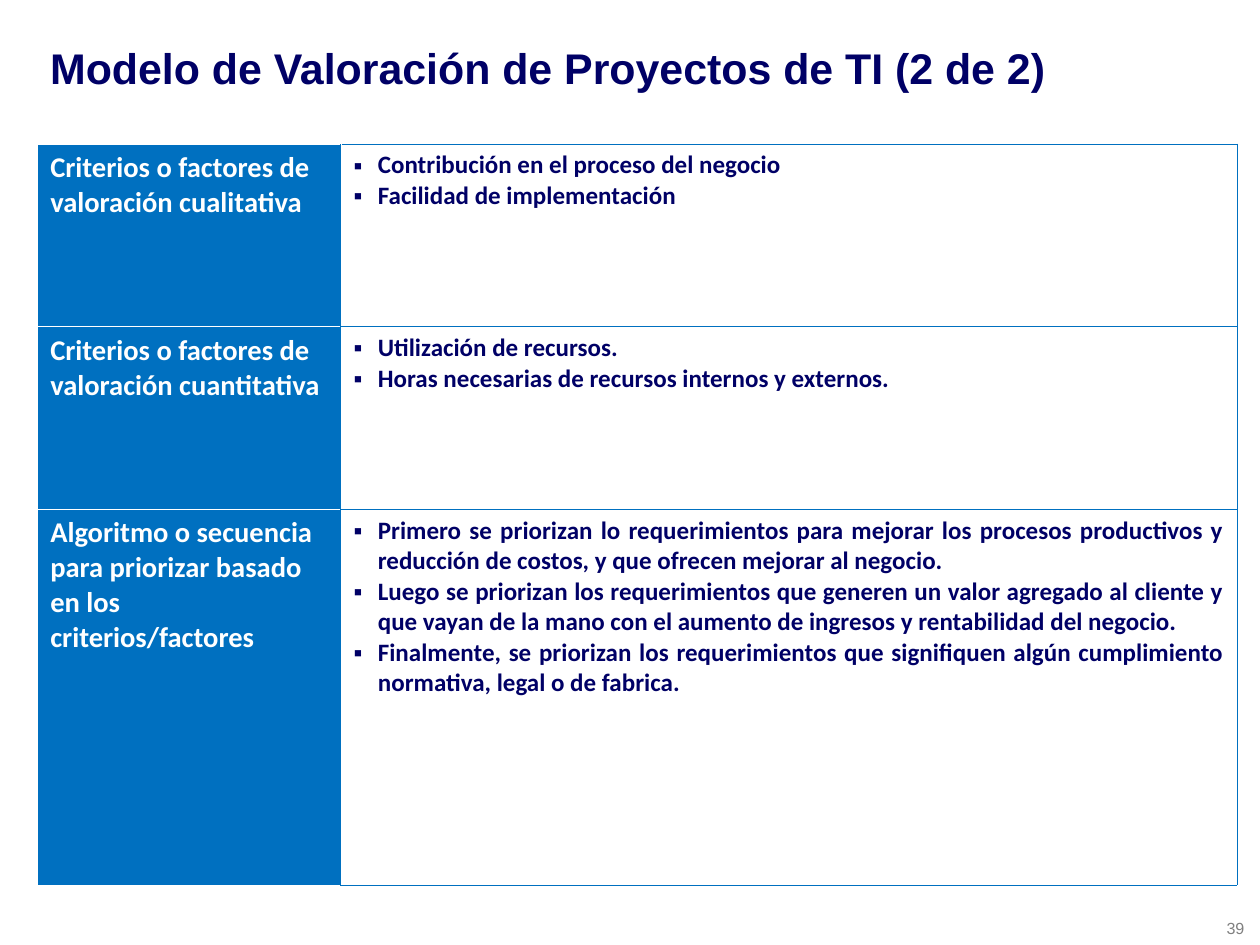
from lxml.etree import SubElement
from pptx import Presentation
from pptx.dml.color import RGBColor
from pptx.enum.text import MSO_ANCHOR as Anchor, PP_ALIGN as Align
from pptx.oxml import parse_xml
from pptx.oxml.ns import nsdecls, qn
from pptx.util import Cm, Pt

NAVY, BLUE, WHITE, GREY = "000066", "0070C0", "FFFFFF", "808080"

ROWS = [
    (3.61, "Criterios o factores de valoración cualitativa", Align.LEFT,
     ["Contribución en el proceso del negocio",
      "Facilidad de implementación"]),
    (3.61, "Criterios o factores de valoración cuantitativa", Align.LEFT,
     ["Utilización de recursos.",
      "Horas necesarias de recursos internos y externos."]),
    (7.42, "Algoritmo o secuencia para priorizar basado en los criterios/factores", Align.LEFT,
     ["Primero se priorizan lo requerimientos para mejorar los procesos productivos "
      "y reducción de costos, y que ofrecen mejorar al negocio.",
      "Luego se priorizan los requerimientos que generen un valor agregado al cliente "
      "y que vayan de la mano con el aumento de ingresos y rentabilidad del negocio.",
      "Finalmente, se priorizan los requerimientos que signifiquen algún cumplimiento "
      "normativa, legal o de fabrica."]),
]
ROWS[2] = ROWS[2][:2] + (Align.JUSTIFY,) + ROWS[2][3:]


def color(value):
    return RGBColor.from_string(value)


def add_span(para, text, font, size, ink, bold=True):
    span = para.add_run()
    span.text = text
    span.font.name, span.font.size, span.font.bold = font, Pt(size), bold
    span.font.color.rgb = color(ink)


def add_bullet(para):
    props = para._p.get_or_add_pPr()
    props.set("marL", str(Cm(0.48)))
    props.set("indent", str(-Cm(0.48)))
    SubElement(props, qn("a:buFont")).set("typeface", "Arial")
    SubElement(props, qn("a:buChar")).set("char", "▪")


def style_cell(cell, fill, left, right, top, bottom):
    cell.fill.solid()
    cell.fill.fore_color.rgb = color(fill)
    borders = {"lnL": left, "lnR": right, "lnT": top, "lnB": bottom}
    for place, (side, ink) in enumerate(borders.items()):
        line = parse_xml(
            f'<a:{side} {nsdecls("a")} w="{Pt(0.25)}"><a:solidFill>'
            f'<a:srgbClr val="{ink}"/></a:solidFill></a:{side}>')
        cell._tc.get_or_add_tcPr().insert(place, line)


def add_text(page, left, top, width, height, text, size, ink, bold, wrap=True):
    box = page.shapes.add_textbox(Cm(left), Cm(top), Cm(width), Cm(height))
    frame = box.text_frame
    frame.word_wrap = wrap
    frame.vertical_anchor = Anchor.MIDDLE
    add_span(frame.paragraphs[0], text, "Arial", size, ink, bold)


def add_criteria_table(page, left, top, label_width, detail_width):
    height = sum(row[0] for row in ROWS)
    table = page.shapes.add_table(
        len(ROWS), 2, Cm(left), Cm(top),
        Cm(label_width + detail_width), Cm(height)).table
    table.first_row = table.horz_banding = False
    table.columns[0].width = Cm(label_width)
    table.columns[1].width = Cm(detail_width)

    for index, (row_height, label, align, details) in enumerate(ROWS):
        table.rows[index].height = Cm(row_height)

        # Criterion
        cell = table.cell(index, 0)
        style_cell(cell, BLUE, WHITE, WHITE, WHITE, WHITE)
        add_span(cell.text_frame.paragraphs[0], label, "Calibri", 16, WHITE)

        # Bulleted details
        cell = table.cell(index, 1)
        style_cell(cell, WHITE, WHITE, BLUE, BLUE, BLUE)
        frame = cell.text_frame
        for number, detail in enumerate(details):
            para = frame.add_paragraph() if number else frame.paragraphs[0]
            add_bullet(para)
            para.alignment = align
            add_span(para, detail, "Calibri", 14, NAVY)


def main():
    deck = Presentation()
    deck.slide_width, deck.slide_height = Cm(24.89), Cm(18.67)
    page = deck.slides.add_slide(deck.slide_layouts[6])

    # Title
    add_text(page, 0.74, 0.41, 23.55, 1.85,
             "Modelo de Valoración de Proyectos de TI (2 de 2)", 24, NAVY, True)
    # Criteria
    add_criteria_table(page, 0.74, 2.84, 5.99, 17.7)
    # Page number
    add_text(page, 23.98, 18.01, 0.91, 0.64, "39", 9, GREY, False, wrap=False)

    deck.save("out.pptx")


if __name__ == "__main__":
    main()
